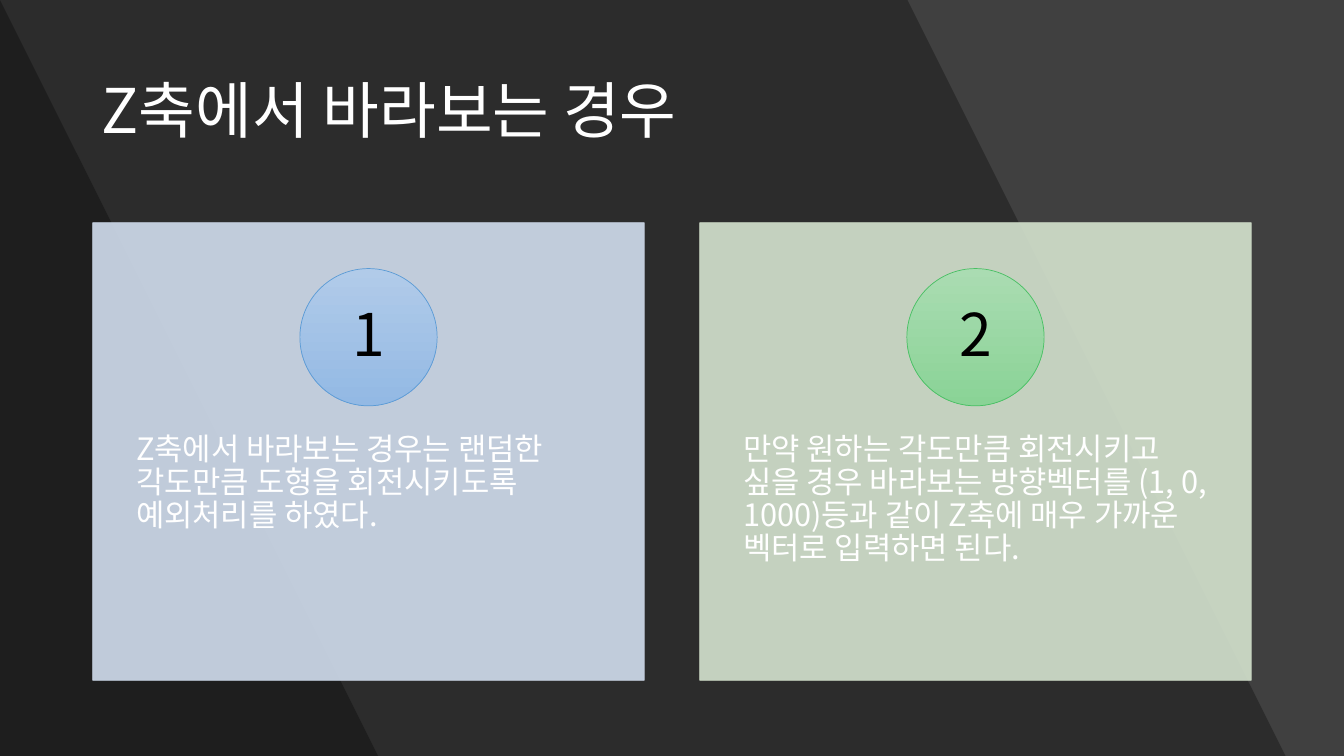
from lxml.etree import SubElement
from pptx import Presentation
from pptx.dml.color import RGBColor
from pptx.enum.shapes import MSO_SHAPE as Shape
from pptx.enum.text import MSO_ANCHOR as Anchor, PP_ALIGN as Align
from pptx.oxml.ns import qn
from pptx.util import Inches, Pt

FONT = "Noto Sans CJK KR"
COLORS = {"backdrop": "404040", "shade": "000000", "text": "FFFFFF", "number": "000000"}
WIDTH, HEIGHT = 13.33, 7.5
CARD_LEFT, CARD_TOP, CARD_WIDTH, CARD_HEIGHT, CARD_STEP = 0.92, 2.21, 5.47, 4.54, 6.02
CARDS = [
    {"text": "Z축에서 바라보는 경우는 랜덤한 각도만큼 도형을 회전시키도록 예외처리를 하였다.",
     "panel": "D2DEEF", "badge": ("B1CBE9", "93B9E4"), "outline": "5B9BD5"},
    {"text": "만약 원하는 각도만큼 회전시키고 싶을 경우 바라보는 방향벡터를 "
             "(1, 0, 1000)등과 같이 Z축에 매우 가까운 벡터로 입력하면 된다.",
     "panel": "D5E3CF", "badge": ("AADCB2", "8AD396"), "outline": "49BF64"},
]


def rgb(value):
    return RGBColor.from_string(value)


def paint(fill, color, opacity):
    """Fill with one colour at an opacity given in percent."""
    fill.solid()
    fill.fore_color.rgb = rgb(color)
    for tint in fill._xPr.iter(qn("a:srgbClr")):
        SubElement(tint, qn("a:alpha"), val=str(opacity * 1000))


def add_shade(page, top_width, bottom_width):
    """Darken the page left of a slanted edge."""
    builder = page.shapes.build_freeform(0, 0, scale=Inches(1))
    builder.add_line_segments([(top_width, 0), (bottom_width, HEIGHT), (0, HEIGHT)])
    shade = builder.convert_to_shape()
    shade.shadow.inherit = False
    shade.line.fill.background()
    paint(shade.fill, COLORS["shade"], 30)


def add_text(page, box, text, size, color, insets=(0.1, 0.05), anchor=Anchor.MIDDLE,
             align=Align.LEFT):
    frame = page.shapes.add_textbox(*map(Inches, box)).text_frame
    frame.word_wrap = True
    frame.vertical_anchor = anchor
    frame.margin_left = frame.margin_right = Inches(insets[0])
    frame.margin_top = frame.margin_bottom = Inches(insets[1])
    para = frame.paragraphs[0]
    para.text = text
    para.alignment = align
    para.line_spacing = 0.9
    para.font.size = Pt(size)
    para.font.color.rgb = rgb(color)
    para.font.name = FONT
    SubElement(para.font._rPr, qn("a:ea"), typeface=FONT)


def add_panel(page, box, color):
    panel = page.shapes.add_shape(Shape.RECTANGLE, *map(Inches, box))
    panel.shadow.inherit = False
    paint(panel.fill, color, 90)
    panel.line.width = Pt(0.5)
    paint(panel.line.fill, color, 90)


def add_badge(page, box, number, gradient, outline):
    left, top, size, _ = box
    badge = page.shapes.add_shape(Shape.OVAL, *map(Inches, box))
    badge.shadow.inherit = False
    badge.fill.gradient()
    badge.fill.gradient_angle = 270
    for stop, color in zip(badge.fill.gradient_stops, gradient):
        stop.color.rgb = rgb(color)
    badge.line.color.rgb = rgb(outline)
    badge.line.width = Pt(0.5)
    inner = size - 0.4
    add_text(page, (left + 0.2, top + 0.2, inner, inner), str(number), 42,
             COLORS["number"], (0.11, 0.01), align=Align.CENTER)


def add_card(page, box, number, card):
    left, top, width, height = box
    add_panel(page, box, card["panel"])
    add_text(page, (left, top + 1.73, width, height * 0.6), card["text"], 22,
             COLORS["text"], (0.43, 0.36), Anchor.TOP)
    size = height * 0.3
    add_badge(page, (left + (width - size) / 2, top + height / 10, size, size),
              number, card["badge"], card["outline"])


def main():
    deck = Presentation()
    deck.slide_width, deck.slide_height = Inches(WIDTH), Inches(HEIGHT)
    page = deck.slides.add_slide(deck.slide_layouts[6])
    page.background.fill.solid()
    page.background.fill.fore_color.rgb = rgb(COLORS["backdrop"])
    add_shade(page, 9.42, 12.89)
    add_shade(page, 0.44, 3.92)
    add_text(page, (0.91, 0.4, 11.51, 1.45), "Z축에서 바라보는 경우", 44, COLORS["text"])
    for index, card in enumerate(CARDS):
        box = (CARD_LEFT + index * CARD_STEP, CARD_TOP, CARD_WIDTH, CARD_HEIGHT)
        add_card(page, box, index + 1, card)
    deck.save("out.pptx")


if __name__ == "__main__":
    main()
